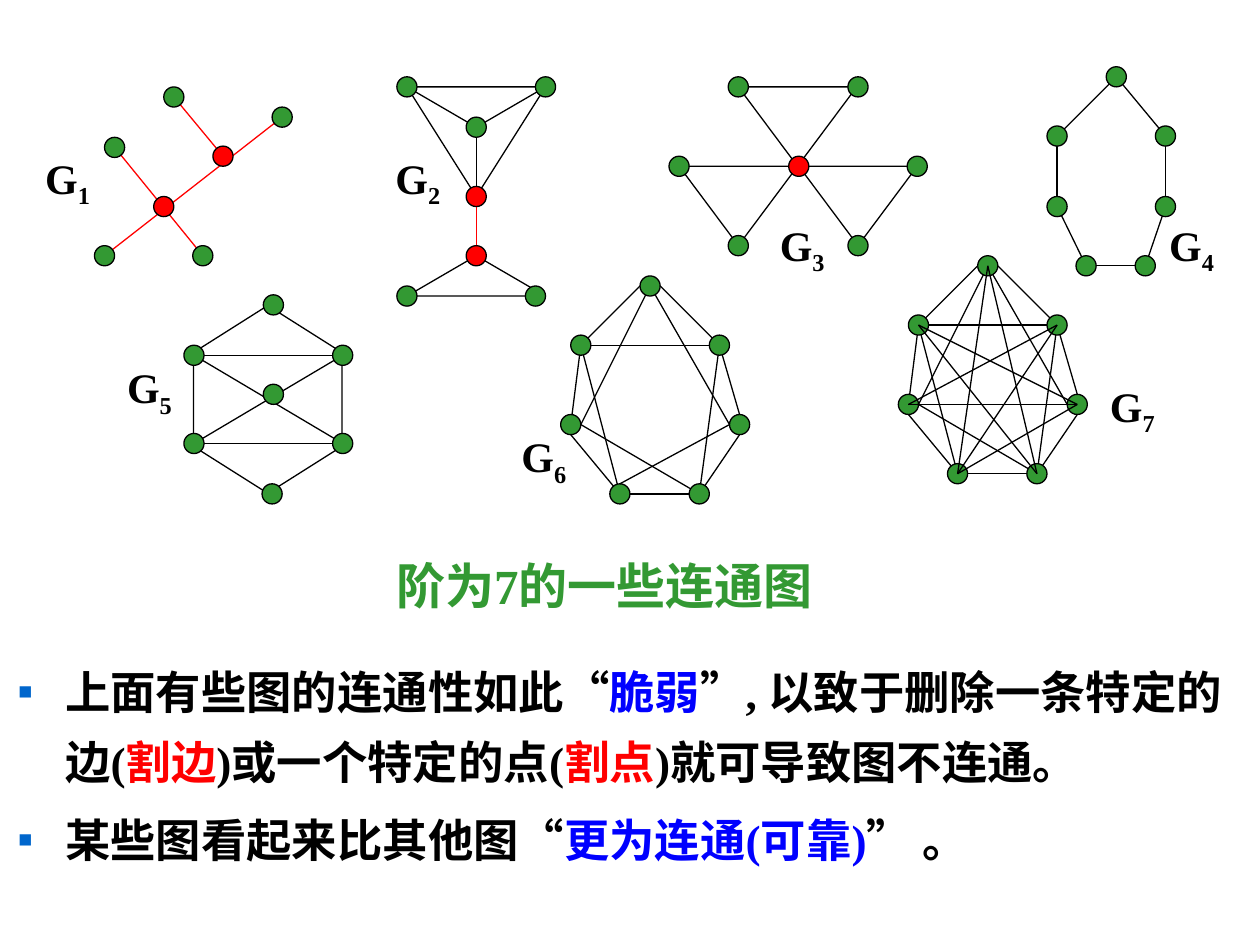
"""Build a slide of seven connected graphs of order 7 with notes on connectivity."""
from pptx import Presentation
from pptx.dml.color import RGBColor
from pptx.enum.lang import MSO_LANGUAGE_ID as Language
from pptx.enum.shapes import MSO_CONNECTOR as Connector, MSO_SHAPE as Shape
from pptx.enum.text import MSO_AUTO_SIZE as AutoSize, PP_ALIGN as Align
from pptx.oxml.ns import qn
from pptx.util import Inches, Pt
from lxml.etree import SubElement

COLORS = {"black": "000000", "red": "FF0000", "green": "339933", "blue": "0000FF", "bullet": "0066CC"}
FONT = "Times New Roman"
NODE_SIZE = 0.16
LINE_WIDTH = 0.75
SIDES = {"<": (-0.08, 0), ">": (0.08, 0), "^": (0, -0.08), "v": (0, 0.08)}

HEPTAGON = [(0, 0), (0.55, 0.47), (0.71, 1.1), (0.39, 1.65), (-0.24, 1.65), (-0.63, 1.1), (-0.55, 0.47)]
HEPTAGON_EDGES = "GF BC^ GA< BA> EFv DCv E>D< AF> AC< GB< GE DF> BD"


def heptagon_at(left, top):
    return [(left + x, top + y) for x, y in HEPTAGON]


GRAPHS = [
    {"number": "1", "label": (0.26, 1.16), "red_nodes": "EF", "red_edges": "GA CB DF",
     "nodes": [(0.83, 2.03), (1.61, 2.03), (0.91, 1.17), (1.38, 0.77), (1.3, 1.64), (1.77, 1.24), (2.24, 0.93)]},
    {"number": "2", "label": (3.04, 1.16), "red_nodes": "DE", "edges": "BC CD CA", "red_edges": "DE",
     "nodes": [(3.23, 0.69), (4.33, 0.69), (3.78, 1.01), (3.78, 1.56), (3.78, 2.03), (3.23, 2.35), (4.25, 2.35)],
     "triangles": [(3.23, 2.03, 1.1, 0.32, False), (3.23, 0.69, 1.1, 0.87, True)]},
    {"number": "3", "label": (6.09, 1.69), "red_nodes": "E",
     "nodes": [(5.86, 0.69), (6.81, 0.69), (7.28, 1.32), (5.39, 1.32), (6.34, 1.32), (6.81, 1.95), (5.86, 1.95)],
     "triangles": [(left, top, 0.94, 0.63, True) for left, top in [(5.86, 0.69), (5.39, 1.32), (6.34, 1.32)]]},
    {"number": "4", "label": (9.18, 1.69), "edges": "AB BC CD DE EF FG GA",
     "nodes": [(8.86, 0.61), (9.25, 1.08), (9.25, 1.64), (9.09, 2.11), (8.62, 2.11), (8.39, 1.64), (8.39, 1.08)]},
    {"number": "5", "label": (0.91, 2.82), "edges": "DB AE AB DE", "hexagon": (1.38, 2.58, 1.49, 1.18),
     "nodes": [(1.54, 2.82), (2.72, 2.82), (2.17, 3.13), (1.54, 3.52), (2.72, 3.52), (2.16, 3.92), (2.17, 2.42)]},
    {"number": "6", "label": (4.04, 3.37), "nodes": heptagon_at(5.16, 2.27),
     "edges": HEPTAGON_EDGES, "front_edges": "C<E^"},
    {"number": "7", "label": (8.71, 2.97), "nodes": heptagon_at(7.84, 2.11),
     "edges": HEPTAGON_EDGES, "front_edges": "GD AD BF FC AE CE BE CG"},
]

TITLE = "阶为7的一些连通图"
NOTES = [
    (1.3, 0, [("上面有些图的连通性如此“", "black"), ("脆弱", "blue"), ("”, 以致于删除一条特定的边(", "black"),
              ("割边", "red"), (")或一个特定的点(", "black"), ("割点", "red"), (")就可导致图不连通。", "black")]),
    (1.2, 7, [("某些图看起来比其他图“", "black"), ("更为连通(可靠)", "blue"), ("” 。", "black")]),
]


def rgb(color):
    return RGBColor.from_string(COLORS[color])


def add_outline(slide, kind, left, top, width, height, fill=None):
    shape = slide.shapes.add_shape(kind, *map(Inches, (left, top, width, height)))
    shape.shadow.inherit = False
    if fill:
        shape.fill.solid()
        shape.fill.fore_color.rgb = rgb(fill)
    else:
        shape.fill.background()
    shape.line.color.rgb = rgb("black")
    shape.line.width = Pt(LINE_WIDTH)
    return shape


def split_ends(edge):
    cut = 2 if edge[1] in SIDES else 1
    return edge[:cut], edge[cut:]


def find_point(nodes, end):
    x, y = nodes["ABCDEFG".index(end[0])]
    shift_x, shift_y = SIDES.get(end[1:], (0, 0))
    return Inches(x + shift_x), Inches(y + shift_y)


def add_edges(slide, nodes, edges, color="black"):
    for edge in edges.split():
        start, end = (find_point(nodes, name) for name in split_ends(edge))
        line = slide.shapes.add_connector(Connector.STRAIGHT, *start, *end)
        line.line.color.rgb = rgb(color)
        line.line.width = Pt(LINE_WIDTH)
        SubElement(line._element.spPr, qn("a:effectLst"))


def style_run(run, size, color):
    run.font.name = FONT
    run.font.size = Pt(size)
    run.font.bold = True
    run.font.color.rgb = rgb(color)
    run.font.language_id = Language.SIMPLIFIED_CHINESE


def add_text_box(slide, left, top, width, height):
    box = slide.shapes.add_textbox(*map(Inches, (left, top, width, height)))
    box.text_frame.word_wrap = True
    return box.text_frame


def add_label(slide, position, number):
    frame = add_text_box(slide, *position, 0.55, 0.56)
    frame.margin_right = 0
    paragraph = frame.paragraphs[0]
    paragraph.text = "G"
    subscript = paragraph.add_run()
    subscript.text = number
    for run in paragraph.runs:
        style_run(run, 24, "black")
    subscript.font._element.set("baseline", "-25000")


def add_graph(slide, graph):
    nodes = graph["nodes"]
    for left, top, width, height, flipped in graph.get("triangles", []):
        triangle = add_outline(slide, Shape.ISOSCELES_TRIANGLE, left, top, width, height)
        if flipped:
            triangle._element.spPr.xfrm.set("flipV", "1")
    if "hexagon" in graph:
        hexagon = add_outline(slide, Shape.HEXAGON, *graph["hexagon"])
        hexagon.adjustments[0] = 0.316
        hexagon.rotation = 270
    add_edges(slide, nodes, graph.get("edges", ""))
    add_edges(slide, nodes, graph.get("red_edges", ""), "red")
    for name, (x, y) in zip("ABCDEFG", nodes):
        fill = "red" if name in graph.get("red_nodes", "") else "green"
        add_outline(slide, Shape.OVAL, x - NODE_SIZE / 2, y - NODE_SIZE / 2, NODE_SIZE, NODE_SIZE, fill)
    add_edges(slide, nodes, graph.get("front_edges", ""))
    add_label(slide, graph["label"], graph["number"])


def add_title(slide):
    frame = add_text_box(slide, 2.8, 4.36, 3.99, 0.57)
    frame.auto_size = AutoSize.SHAPE_TO_FIT_TEXT
    frame.text = TITLE
    frame.paragraphs[0].alignment = Align.CENTER
    style_run(frame.paragraphs[0].runs[0], 28, "green")


def add_bullet(paragraph):
    properties = paragraph._p.get_or_add_pPr()
    properties.set("marL", str(Inches(0.38)))
    properties.set("indent", str(-Inches(0.38)))
    bullet_color = SubElement(properties, qn("a:buClr"))
    SubElement(bullet_color, qn("a:srgbClr"), val=COLORS["bullet"])
    SubElement(properties, qn("a:buFont"), typeface=FONT)
    SubElement(properties, qn("a:buChar"), char="▪")


def add_notes(slide):
    frame = add_text_box(slide, 0.04, 5.09, 9.96, 2.36)
    for index, (line_spacing, space_before, parts) in enumerate(NOTES):
        paragraph = frame.add_paragraph() if index else frame.paragraphs[0]
        add_bullet(paragraph)
        paragraph.line_spacing = line_spacing
        paragraph.space_before = Pt(space_before)
        for text, color in parts:
            run = paragraph.add_run()
            run.text = text
            style_run(run, 25.9, color)


def main():
    presentation = Presentation()
    presentation.slide_width, presentation.slide_height = Inches(10), Inches(7.5)
    slide = presentation.slides.add_slide(presentation.slide_layouts[6])
    add_notes(slide)
    for graph in GRAPHS:
        add_graph(slide, graph)
    add_title(slide)
    presentation.save("out.pptx")


if __name__ == "__main__":
    main()
